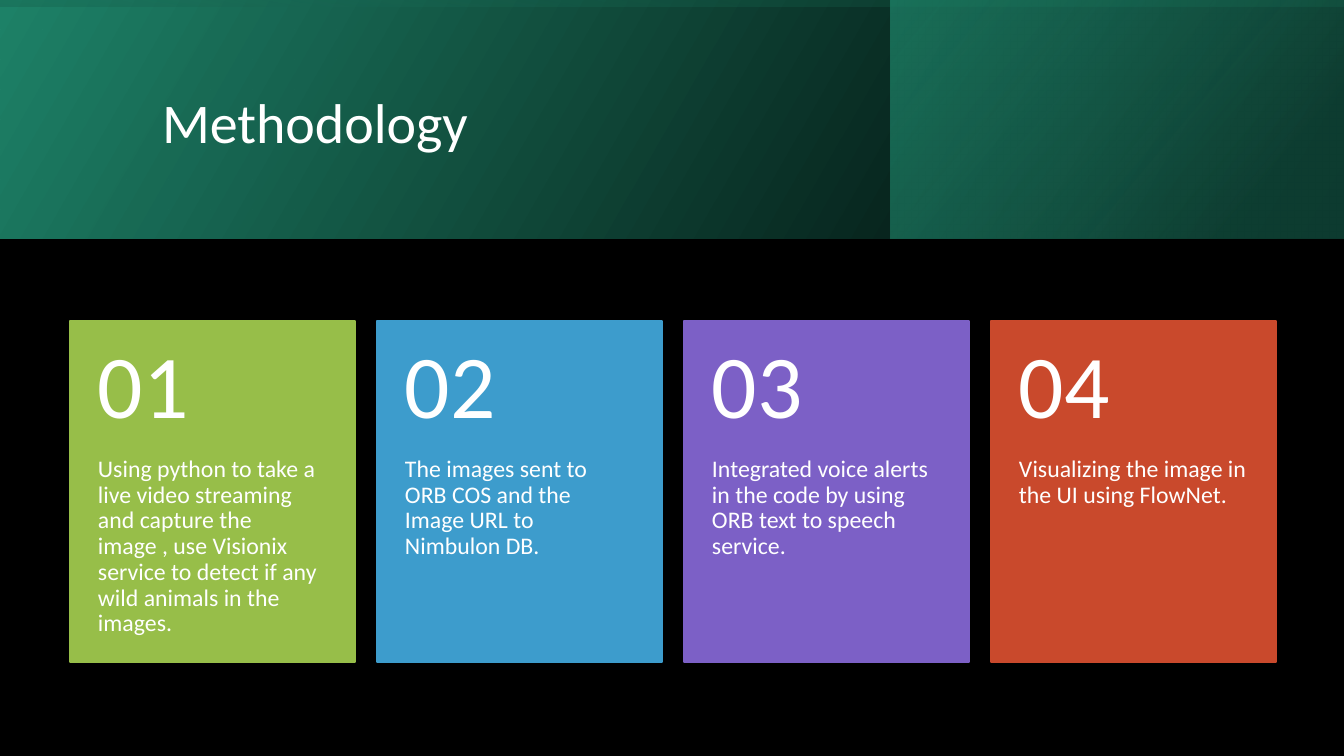
import lxml.etree
import pptx
import pptx.dml.color
import pptx.enum.shapes
import pptx.enum.text
import pptx.oxml.ns
import pptx.util

TITLE = "Methodology"
STEPS = [
    ("01", "Using python to take a live video streaming and capture the image , "
           "use Visionix service to detect if any wild animals in the images.", "lime"),
    ("02", "The images sent to ORB COS and the Image URL to Nimbulon DB.", "blue"),
    ("03", "Integrated voice alerts in the code by using ORB text to speech service.",
     "violet"),
    ("04", "Visualizing the image in the UI using FlowNet.", "rust"),
]
COLORS = {
    "black": "000000", "white": "FFFFFF",
    "green": "1F8369", "deep": "155746", "mint": "29AF8C",
    "lime": "97BE49", "blue": "3D9CCC", "violet": "7C60C6", "rust": "C9492C",
}
FONT = "Calibri"

# Lengths in px
SLIDE_W, SLIDE_H = 1344, 756
BAND_H = 239
TITLE_BOX = (152, 38, 1072, 174)
CARD_LEFT, CARD_TOP, CARD_W, CARD_H, CARD_PITCH = 70, 321, 285, 341, 307
NUMBER_H = 136
PAD_X, PAD_Y, PAD_BOTTOM = 28, 18, 36

# Header layers: box, rotation, counter-clockwise angle,
# stops of (position %, colour, opacity %)
HEADER_LAYERS = [
    ((0, 0, SLIDE_W, BAND_H), 0, 30, [(0, "black", 96), (100, "green", 100)]),
    ((891, 0, 452, BAND_H), 0, 40, [(19, "deep", 68), (100, "mint", 48)]),
    (((SLIDE_W - BAND_H) // 2, (BAND_H - SLIDE_W) // 2, BAND_H, SLIDE_W), 270, 10,
     [(23, "green", 16), (99, "black", 45)]),
]
EMU_PER_PX = 12192000 / SLIDE_W


def emu(*lengths):
    return [pptx.util.Emu(round(length * EMU_PER_PX)) for length in lengths]


def rgb(name):
    return pptx.dml.color.RGBColor.from_string(COLORS[name])


def add_rectangle(shapes, box):
    rectangle = shapes.add_shape(pptx.enum.shapes.MSO_SHAPE.RECTANGLE, *emu(*box))
    rectangle.shadow.inherit = False
    return rectangle


def add_header_layer(shapes, box, rotation, angle, stops):
    layer = add_rectangle(shapes, box)
    layer.rotation = rotation
    layer.line.fill.background()
    layer.fill.gradient()
    layer.fill.gradient_angle = angle
    for stop, (position, color, _) in zip(layer.fill.gradient_stops, stops):
        stop.position = position / 100
        stop.color.rgb = rgb(color)
    # Opacity and mirroring
    properties = layer._element.spPr
    qn = pptx.oxml.ns.qn
    for color_node, (_, _, opacity) in zip(properties.iter(qn("a:srgbClr")), stops):
        lxml.etree.SubElement(color_node, qn("a:alpha")).set("val", str(opacity * 1000))
    properties.find(qn("a:xfrm")).set("flipH", "1")


def write(shape, text, size, anchor):
    frame = shape.text_frame
    frame.text = text
    frame.word_wrap = True
    frame.auto_size = pptx.enum.text.MSO_AUTO_SIZE.NONE
    frame.vertical_anchor = anchor
    paragraph = frame.paragraphs[0]
    paragraph.alignment = pptx.enum.text.PP_ALIGN.LEFT
    paragraph.line_spacing = 0.9
    font = paragraph.runs[0].font
    font.name, font.size = FONT, pptx.util.Pt(size)
    font.color.rgb = rgb("white")


def add_card_text(shapes, box, text, size, anchor, pad_top, pad_bottom):
    label = shapes.add_textbox(*emu(*box))
    write(label, text, size, anchor)
    frame = label.text_frame
    (frame.margin_left, frame.margin_top,
     frame.margin_right, frame.margin_bottom) = emu(PAD_X, pad_top, PAD_X, pad_bottom)


def main():
    deck = pptx.Presentation()
    deck.slide_width, deck.slide_height = emu(SLIDE_W, SLIDE_H)
    slide = deck.slides.add_slide(deck.slide_layouts[5])
    slide.background.fill.solid()
    slide.background.fill.fore_color.rgb = rgb("black")
    anchors = pptx.enum.text.MSO_ANCHOR

    # Header
    for layer in HEADER_LAYERS:
        add_header_layer(slide.shapes, *layer)

    # Title, brought in front of the header
    title = slide.shapes.title
    title.left, title.top, title.width, title.height = emu(*TITLE_BOX)
    write(title, TITLE, 40, anchors.MIDDLE)
    slide.shapes._spTree.append(title._element)

    # Step cards
    cards = slide.shapes.add_group_shape().shapes
    for index, (number, description, color) in enumerate(STEPS):
        left = CARD_LEFT + index * CARD_PITCH
        card = add_rectangle(cards, (left, CARD_TOP, CARD_W, CARD_H))
        card.fill.solid()
        card.fill.fore_color.rgb = rgb(color)
        card.line.color.rgb = rgb(color)
        card.line.width = pptx.util.Pt(1)
        add_card_text(cards, (left, CARD_TOP + NUMBER_H, CARD_W, CARD_H - NUMBER_H),
                      description, 17, anchors.TOP, 0, PAD_BOTTOM)
        add_card_text(cards, (left, CARD_TOP, CARD_W, NUMBER_H),
                      number, 64, anchors.MIDDLE, PAD_Y, PAD_Y)

    deck.save("out.pptx")


if __name__ == "__main__":
    main()
